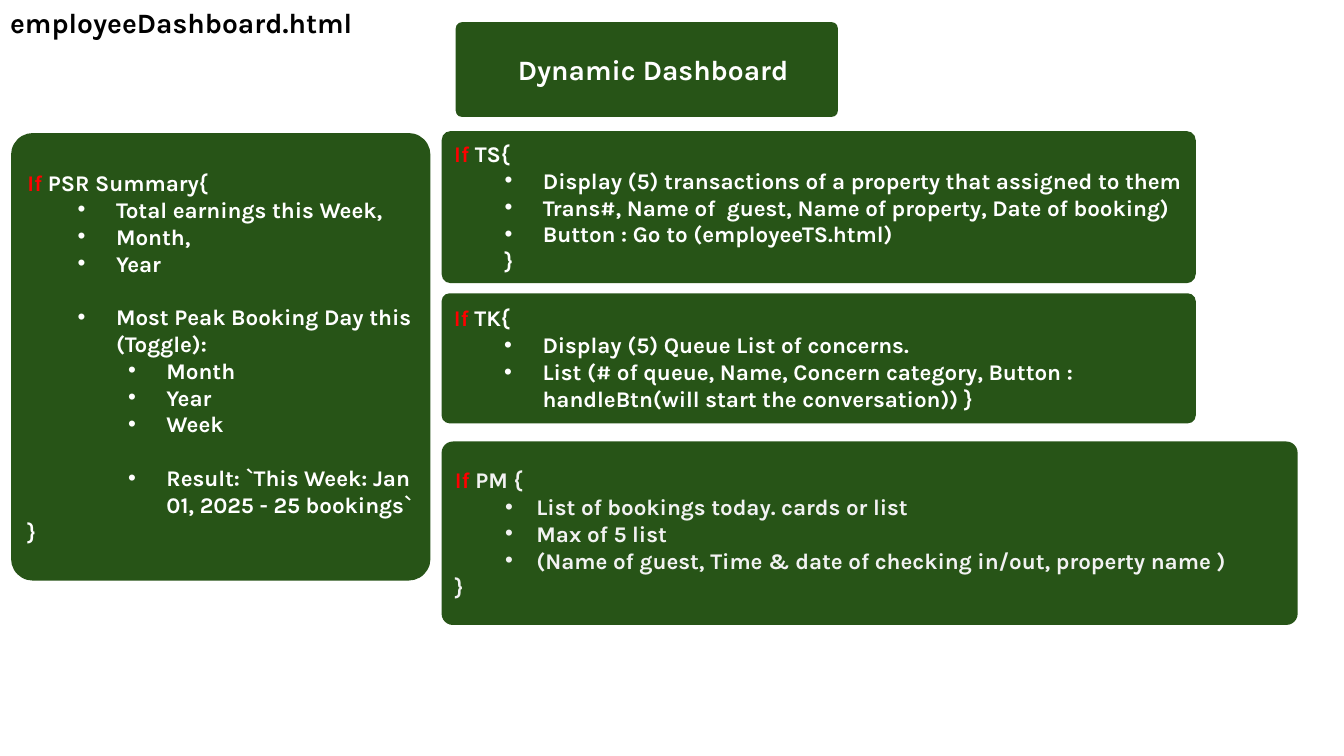
"""Build the employee dashboard slide: a heading and one content card per role."""
from dataclasses import dataclass

from lxml.etree import SubElement
from pptx import Presentation
from pptx.dml.color import RGBColor
from pptx.enum.shapes import MSO_SHAPE
from pptx.enum.text import MSO_ANCHOR, PP_ALIGN
from pptx.oxml.ns import qn
from pptx.util import Inches, Pt


@dataclass(frozen=True)
class Theme:
    font: str = "Karla"
    green: str = "275417"
    red: str = "FF0000"
    black: str = "000000"
    white: str = "FFFFFF"
    pale: str = "F2F2F2"
    heading: int = 20
    body: int = 16
    gap: int = 19


THEME = Theme()


def add_text(tf, text, keyword="", color=THEME.white, size=THEME.body,
             level=0, indent=0, hang=0, before=0):
    p = tf.add_paragraph() if tf.text else tf.paragraphs[0]
    p.level = level
    p.alignment = PP_ALIGN.LEFT
    p.line_spacing = 1.0
    p.space_before = Pt(before)
    pPr = p._p.get_or_add_pPr()
    pPr.set("marL", str(Inches(indent)))
    pPr.set("indent", str(-Inches(hang)))
    if hang:
        SubElement(pPr, qn("a:buFont")).set("typeface", "Arial")
        SubElement(pPr, qn("a:buChar")).set("char", "•")
    else:
        SubElement(pPr, qn("a:buNone"))
    for words, rgb in ((keyword, THEME.red), (text, color)):
        if words:
            r = p.add_run()
            r.text = words
            r.font.name = THEME.font
            r.font.size = Pt(size)
            r.font.bold = True
            r.font.color.rgb = RGBColor.from_string(rgb)


def add_card(slide, box, corner):
    s = slide.shapes.add_shape(MSO_SHAPE.ROUNDED_RECTANGLE, *map(Inches, box))
    s.adjustments[0] = corner
    s.shadow.inherit = False
    s.fill.solid()
    s.fill.fore_color.rgb = RGBColor.from_string(THEME.green)
    s.line.fill.background()
    tf = s.text_frame
    tf.word_wrap = True
    tf.vertical_anchor = MSO_ANCHOR.MIDDLE
    return tf


prs = Presentation()
prs.slide_width, prs.slide_height = Inches(13.33), Inches(7.5)
slide = prs.slides.add_slide(prs.slide_layouts[5])

title = slide.shapes.title
title.left, title.top = Inches(0), Inches(0)
title.width, title.height = Inches(4.75), Inches(0.44)
title.text_frame.vertical_anchor = MSO_ANCHOR.TOP
add_text(title.text_frame, "employeeDashboard.html", color=THEME.black, size=THEME.heading)

tf = add_card(slide, (4.52, 0.22, 3.79, 0.94), 0.065)
add_text(tf, "Dynamic Dashboard", size=THEME.heading, level=1, indent=0.5)

plain = {}
closing = dict(level=1, indent=0.5)
item = dict(level=1, indent=0.88, hang=0.38)
subitem = dict(level=2, indent=1.38, hang=0.38)
near_item = dict(level=1, indent=0.81, hang=0.31)
spaced = dict(before=THEME.gap)

cards = [
    ((0.11, 1.32, 4.16, 4.44), 0.052, "If", " PSR Summary{", THEME.white, [
        ("Total earnings this Week,", item),
        ("Month,", item),
        ("Year", item),
        ("Most Peak Booking Day this (Toggle):", item | spaced),
        ("Month", subitem),
        ("Year", subitem),
        ("Week", subitem),
        ("Result: `This Week: Jan 01, 2025 - 25 bookings`", subitem | spaced),
        ("}", plain),
    ]),
    ((4.38, 1.3, 7.48, 1.51), 0.061, "If", " TS{", THEME.white, [
        ("Display (5) transactions of a property that assigned to them", item),
        ("Trans#, Name of  guest, Name of property, Date of booking)", item),
        ("Button : Go to (employeeTS.html)", item),
        ("}", closing),
    ]),
    ((4.38, 2.91, 7.48, 1.29), 0.061, "If", " TK{", THEME.white, [
        ("Display (5) Queue List of concerns.", item),
        ("List (# of queue, Name, Concern category, Button : "
         "handleBtn(will start the conversation)) }", item),
    ]),
    ((4.38, 4.38, 8.49, 1.82), 0.061, "If ", "PM {", THEME.pale, [
        ("List of bookings today. cards or list", near_item),
        ("Max of 5 list", near_item),
        ("(Name of guest, Time & date of checking in/out, property name )", near_item),
        ("}", plain),
    ]),
]

for box, corner, keyword, role, color, lines in cards:
    tf = add_card(slide, box, corner)
    add_text(tf, role, keyword=keyword, color=color)
    for text, style in lines:
        add_text(tf, text, color=color, **style)

prs.save("out.pptx")
